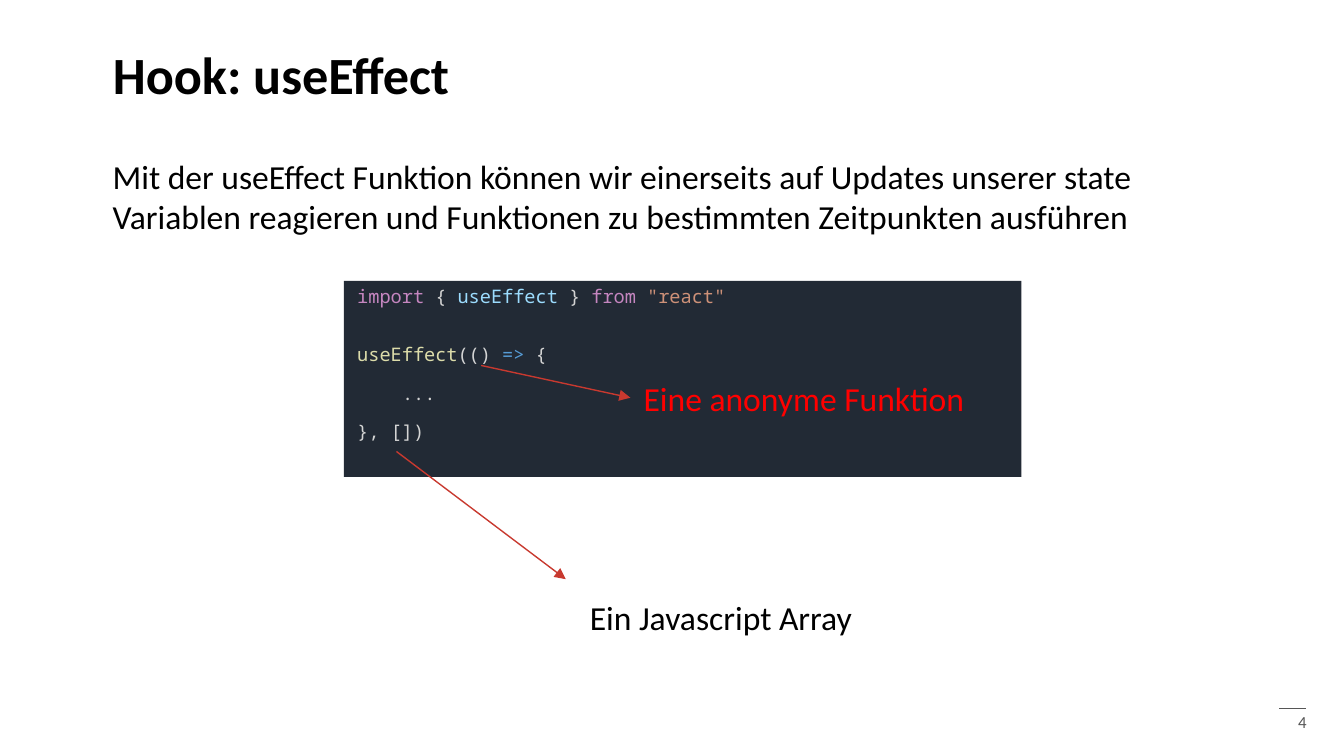
from lxml import etree
from pptx import Presentation
from pptx.dml.color import RGBColor
from pptx.enum.shapes import MSO_CONNECTOR, MSO_SHAPE
from pptx.enum.text import MSO_ANCHOR, MSO_AUTO_SIZE, PP_ALIGN
from pptx.oxml.ns import qn
from pptx.util import Pt

BLACK, GRAY, RED, ARROW_RED = "000000", "565656", "FF0000", "C8392F"
CODE_BACK, PLAIN, KEYWORD = "222A35", "D4D4D4", "C586C0"
VARIABLE, STRING, CALL, OPERATOR = "9CDCFE", "CE9178", "DCDCAA", "569CD6"

# Each code line: space before, left indent, colored pieces
CODE_LINES = [
    (0, 0, [("import", KEYWORD), (" { ", PLAIN), ("useEffect", VARIABLE),
            (" } ", PLAIN), ("from ", KEYWORD), ('"react"', STRING)]),
    (20, 0, [("useEffect", CALL), ("(() ", PLAIN), ("=>", OPERATOR), (" {", PLAIN)]),
    (10, 24, [("...", PLAIN)]),
    (10, 0, [("}, [])", PLAIN)]),
]


def color(hex_value):
    return RGBColor.from_string(hex_value)


def add_text(paragraph, text, size=18, font="Calibri", fill=BLACK, bold=False,
             align=PP_ALIGN.LEFT):
    paragraph.alignment = align
    run = paragraph.add_run()
    run.text = text
    run.font.size = Pt(size)
    run.font.name = font
    run.font.bold = bold
    run.font.color.rgb = color(fill)


class SlideBuilder:
    """Holds the slide and draws each kind of element; lengths in points."""

    code_font = "Noto Sans Mono"
    line_width = 0.75

    def __init__(self, slide):
        self.slide = slide

    def title(self, text, left, top, width, height):
        heading = self.slide.shapes.title
        heading.left, heading.top = Pt(left), Pt(top)
        heading.width, heading.height = Pt(width), Pt(height)
        heading.text_frame.vertical_anchor = MSO_ANCHOR.MIDDLE
        add_text(heading.text_frame.paragraphs[0], text, size=28, bold=True)

    def text(self, text, left, top, width, height, wrap=True,
             anchor=MSO_ANCHOR.TOP, **text_format):
        box = self.slide.shapes.add_textbox(Pt(left), Pt(top), Pt(width), Pt(height))
        frame = box.text_frame
        frame.word_wrap = wrap
        frame.vertical_anchor = anchor
        if not wrap:
            frame.auto_size = MSO_AUTO_SIZE.SHAPE_TO_FIT_TEXT
        add_text(frame.paragraphs[0], text, **text_format)
        return box

    def code(self, lines, left, top, width, height):
        panel = self.slide.shapes.add_shape(
            MSO_SHAPE.RECTANGLE, Pt(left), Pt(top), Pt(width), Pt(height))
        panel.shadow.inherit = False
        panel.fill.solid()
        panel.fill.fore_color.rgb = color(CODE_BACK)
        panel.line.fill.background()
        frame = panel.text_frame
        frame.word_wrap = True
        frame.vertical_anchor = MSO_ANCHOR.TOP
        for index, (space, indent, pieces) in enumerate(lines):
            paragraph = frame.add_paragraph() if index else frame.paragraphs[0]
            paragraph.line_spacing = 0.9
            paragraph.space_before = Pt(space)
            paragraph._p.get_or_add_pPr().set("marL", str(Pt(indent)))
            for piece, fill in pieces:
                add_text(paragraph, piece, size=10, font=self.code_font, fill=fill)

    def line(self, start, end, stroke, arrow=False):
        connector = self.slide.shapes.add_connector(
            MSO_CONNECTOR.STRAIGHT, *(Pt(value) for value in (*start, *end)))
        connector.line.color.rgb = color(stroke)
        connector.line.width = Pt(self.line_width)
        if arrow:
            etree.SubElement(connector.line._get_or_add_ln(), qn("a:tailEnd"),
                             type="triangle")
        etree.SubElement(connector._element.spPr, qn("a:effectLst"))
        return connector


def main():
    deck = Presentation()
    deck.slide_width, deck.slide_height = Pt(720), Pt(405)
    builder = SlideBuilder(deck.slides.add_slide(deck.slide_layouts[5]))

    # Page number with its rule
    builder.text("4", 670.3, 378, 36.7, 17.3, anchor=MSO_ANCHOR.MIDDLE,
                 size=9, fill=GRAY, align=PP_ALIGN.RIGHT)
    builder.line((685.4, 379.6), (699.8, 379.6), GRAY)

    # Heading and explanation
    builder.title("Hook: useEffect", 53.3, 18.7, 613.4, 41)
    builder.text("Mit der useEffect Funktion können wir einerseits auf Updates "
                 "unserer state Variablen reagieren und Funktionen zu bestimmten "
                 "Zeitpunkten ausführen", 53.3, 79.9, 624.2, 51.1)

    # Code example
    builder.code(CODE_LINES, 184.3, 150.5, 362.9, 105.1)

    # Notes on the two arguments
    builder.text("Ein Javascript Array", 308.9, 316.1, 156.2, 28.8, wrap=False)
    function_note = builder.text("Eine anonyme Funktion", 337.7, 198.7, 188.6, 28.8,
                                 wrap=False, fill=RED)
    builder.line((212.4, 241.9), (303.1, 310.3), ARROW_RED, arrow=True)
    function_arrow = builder.line((257.8, 195.8), (337.7, 213.1), ARROW_RED, arrow=True)
    function_arrow.end_connect(function_note, 1)

    deck.save("out.pptx")


if __name__ == "__main__":
    main()
